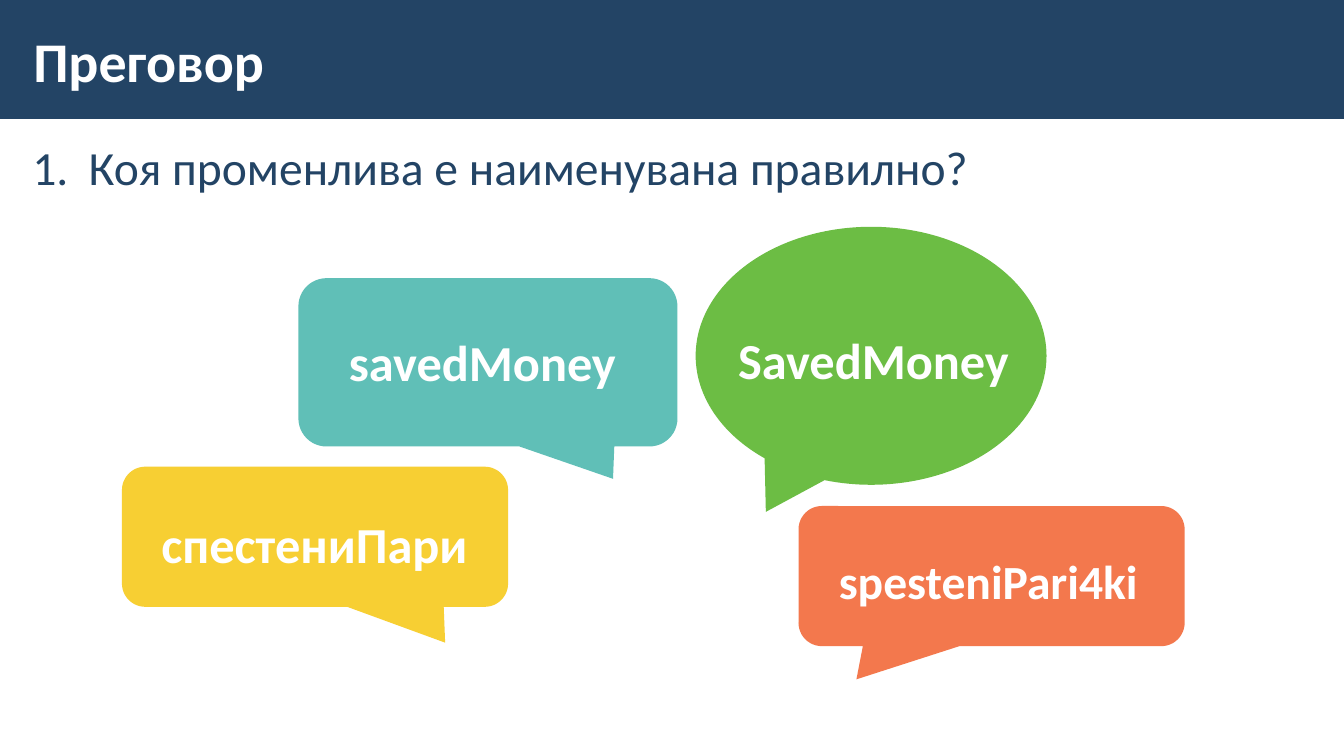
import pptx
import pptx.dml.color
import pptx.enum.shapes
import pptx.enum.text
import pptx.oxml
import pptx.oxml.ns
import pptx.util
from pptx.util import Inches

NAVY = "234465"
WHITE = "FFFFFF"
ROUNDED = pptx.enum.shapes.MSO_SHAPE.ROUNDED_RECTANGULAR_CALLOUT
OVAL = pptx.enum.shapes.MSO_SHAPE.OVAL_CALLOUT
LEFT = pptx.enum.text.PP_ALIGN.LEFT
CENTER = pptx.enum.text.PP_ALIGN.CENTER
TOP = pptx.enum.text.MSO_ANCHOR.TOP
MIDDLE = pptx.enum.text.MSO_ANCHOR.MIDDLE

BUBBLES = [
    dict(kind=OVAL, box=(6.9, 2.25, 3.48, 2.56), tail=(-0.3, 0.605), color="6CBD44",
         text="SavedMoney", text_box=(6.66, 3.15, 3.72, 0.84), indent=0.5, spacing=1.0),
    dict(kind=ROUNDED, box=(1.21, 4.63, 3.83, 1.39), tail=(0.337, 0.756), color="F5C300",
         opacity=80, text="спестениПари", text_box=(1.08, 4.91, 4.08, 0.83), align=CENTER),
    dict(kind=ROUNDED, box=(7.92, 5.02, 3.83, 1.39), tail=(-0.35, 0.737), color="F15721",
         opacity=80, text="spesteniPari4ki", text_box=(8.16, 5.3, 3.44, 0.78), size=34),
    dict(kind=ROUNDED, box=(2.96, 2.76, 3.76, 1.67), tail=(0.33, 0.692), color="60BFB7",
         text="savedMoney", text_box=(3, 3.11, 3.57, 0.87), align=CENTER),
]


def rgb(color):
    return pptx.dml.color.RGBColor.from_string(color)


def add_filled_shape(shapes, kind, box, color, opacity=100):
    shape = shapes.add_shape(kind, *map(Inches, box))
    shape.shadow.inherit = False
    shape.line.fill.background()
    shape.fill.solid()
    shape.fill.fore_color.rgb = rgb(color)
    if opacity < 100:
        color_element = shape.fill._xPr.find(".//" + pptx.oxml.ns.qn("a:srgbClr"))
        color_element.append(pptx.oxml.parse_xml(
            f'<a:alpha {pptx.oxml.ns.nsdecls("a")} val="{opacity * 1000}"/>'))
    return shape


def add_text(shapes, text, box, size=36, color=WHITE, bold=True, align=LEFT,
             anchor=TOP, spacing=1.0, margins=(0.16, 0.12), indent=0):
    """Add a one-paragraph text box; margins are (horizontal, vertical)."""
    text_box = shapes.add_textbox(*map(Inches, box))
    frame = text_box.text_frame
    frame.word_wrap = True
    frame.vertical_anchor = anchor
    frame.margin_left = frame.margin_right = Inches(margins[0])
    frame.margin_top = frame.margin_bottom = Inches(margins[1])
    paragraph = frame.paragraphs[0]
    paragraph.alignment = align
    paragraph.line_spacing = spacing
    paragraph._p.get_or_add_pPr().set("marL", str(Inches(indent)))
    run = paragraph.add_run()
    run.text = text
    run.font.name = "Calibri"
    run.font.size = pptx.util.Pt(size)
    run.font.bold = bold
    run.font.color.rgb = rgb(color)
    return paragraph


def number_paragraph(paragraph, hanging):
    paragraph.space_before = paragraph.space_after = pptx.util.Pt(6)
    properties = paragraph._p.get_or_add_pPr()
    properties.set("indent", str(-Inches(hanging)))
    properties.append(pptx.oxml.parse_xml(
        f'<a:buAutoNum {pptx.oxml.ns.nsdecls("a")} type="arabicPeriod"/>'))


def add_bubble(slide, kind, box, tail, color, text, text_box,
               opacity=100, spacing=1.1, **text_format):
    """Group a speech bubble with its label; tail is the tip's offset from the centre."""
    group = slide.shapes.add_group_shape()
    bubble = add_filled_shape(group.shapes, kind, box, color, opacity)
    bubble.adjustments[0], bubble.adjustments[1] = tail
    add_text(group.shapes, text, text_box, spacing=spacing, **text_format)


def main():
    presentation = pptx.Presentation()
    presentation.slide_width = Inches(13.33)
    presentation.slide_height = Inches(7.5)
    slide = presentation.slides.add_slide(presentation.slide_layouts[6])

    add_filled_shape(slide.shapes, pptx.enum.shapes.MSO_SHAPE.RECTANGLE,
                     (0, -0.02, 13.33, 1.2), NAVY)
    question = add_text(slide.shapes, "Коя променлива е наименувана правилно?",
                        (0.2, 1.3, 12.91, 5.67), size=34, color=NAVY, bold=False,
                        spacing=1.05, margins=(0.12, 0.04), indent=0.56)
    number_paragraph(question, hanging=0.56)
    add_text(slide.shapes, "Преговор", (0.21, 0.11, 10.39, 0.97), size=40,
             anchor=MIDDLE, margins=(0.12, 0.04))
    for bubble in BUBBLES:
        add_bubble(slide, **bubble)

    presentation.save("out.pptx")


if __name__ == "__main__":
    main()
